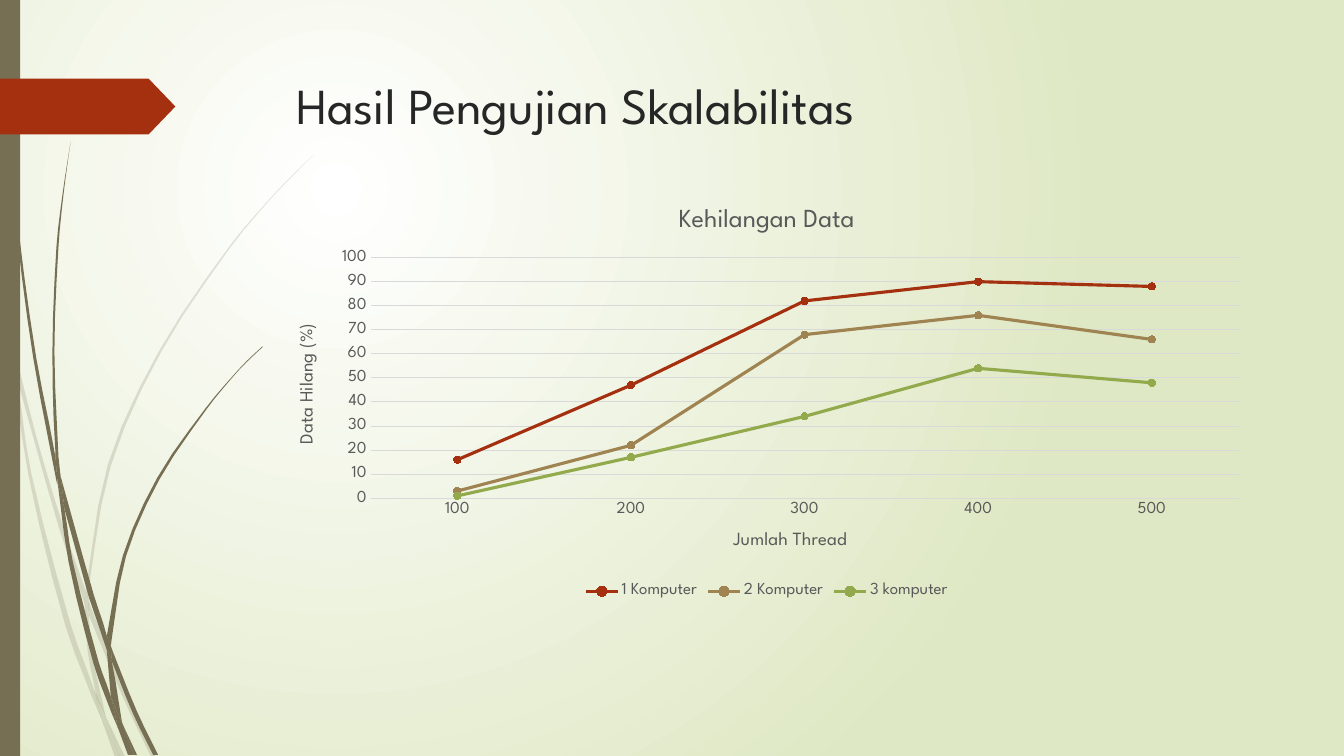
from math import hypot

from lxml import etree
from pptx import Presentation
from pptx.chart.data import CategoryChartData
from pptx.dml.color import RGBColor
from pptx.enum.chart import XL_CHART_TYPE, XL_LEGEND_POSITION, XL_MARKER_STYLE, XL_TICK_MARK
from pptx.enum.shapes import MSO_SHAPE
from pptx.enum.text import MSO_ANCHOR, PP_ALIGN
from pptx.oxml.ns import qn
from pptx.util import Cm, Pt

LINE = XL_CHART_TYPE.LINE_MARKERS
BOTTOM = XL_LEGEND_POSITION.BOTTOM
DOT = XL_MARKER_STYLE.CIRCLE
NO_TICK = XL_TICK_MARK.NONE
RECT, ARROW = MSO_SHAPE.RECTANGLE, MSO_SHAPE.PENTAGON
TOP, LEFT = MSO_ANCHOR.TOP, PP_ALIGN.LEFT

WHITE = RGBColor(0xFF, 0xFF, 0xFF)
PALE = RGBColor(0xDF, 0xE8, 0xC4)
OLIVE = RGBColor(0x76, 0x6F, 0x54)
RED = RGBColor(0xA5, 0x30, 0x10)
TAN = RGBColor(0x9F, 0x83, 0x51)
GREEN = RGBColor(0x92, 0xAA, 0x4C)
INK = RGBColor(0x26, 0x26, 0x26)
GREY = RGBColor(0x59, 0x59, 0x59)
RULE = RGBColor(0xD9, 0xD9, 0xD9)
FONT = "League Spartan"

# Blades of grass: knots of one edge downwards, then of the other edge upwards
UNIT = Cm(0.0254)
FAINT = [
    ([(0, 282), (9, 322), (11, 350)], [(10, 344), (0, 299)]),
    ([(14, 345), (36, 433), (62, 520), (85, 586)], [(84, 599), (58, 522), (17, 376)]),
    ([(88, 596), (92, 607), (127, 692), (155, 751)], [(150, 751), (123, 694), (88, 610)]),
    ([(105, 711), (124, 751)], [(119, 751)]),
    ([(11, 350), (17, 376), (31, 469), (70, 619), (93, 683), (101, 714)],
     [(92, 693), (65, 621), (28, 470), (11, 350)]),
    ([(84, 599), (88, 610), (91, 646), (105, 711)], [(96, 692), (87, 646), (84, 599)]),
    ([(312, 153), (290, 175), (268, 198), (229, 245), (160, 349), (110, 462), (88, 584),
      (88, 596)],
     [(85, 586), (107, 461), (158, 348), (228, 244), (268, 197), (289, 175), (312, 153)]),
    ([(101, 714), (119, 751)], [(114, 751)]),
    ([(85, 586), (88, 596), (88, 610)], [(88, 608), (84, 599)]),
    ([(93, 683), (105, 711), (119, 751)], [(101, 714), (99, 707)]),
]
SOLID = [
    ([(4, 0), (5, 48), (8, 109), (19, 232), (36, 355), (55, 453), (57, 481)],
     [(56, 477), (33, 355), (17, 233), (7, 110), (4, 48), (3, 0)]),
    ([(60, 472), (93, 590), (106, 631), (106, 645)], [(88, 592), (64, 505)]),
    ([(110, 641), (113, 649), (136, 706), (157, 749)], [(152, 749), (132, 708), (111, 656)]),
    ([(57, 477), (64, 505), (72, 556), (98, 657), (110, 691), (117, 722)],
     [(111, 708), (93, 659), (68, 557), (57, 477)]),
    ([(70, 141), (62, 193), (56, 245), (52, 349), (55, 449), (60, 472)],
     [(58, 453), (54, 349), (58, 245), (63, 193), (70, 141)]),
    ([(122, 719), (136, 749)], [(133, 749)]),
    ([(55, 449), (60, 472), (64, 505)], [(57, 477), (55, 453)]),
    ([(261, 344), (245, 359), (231, 374), (205, 406), (158, 476), (125, 552), (111, 633),
      (110, 641)],
     [(106, 631), (122, 551), (156, 474), (204, 405), (231, 373), (245, 358), (260, 344)]),
    ([(117, 722), (131, 749)], [(127, 749)]),
    ([(106, 645), (111, 656), (121, 716), (122, 719)], [(116, 706), (110, 691)]),
    ([(106, 631), (110, 641), (111, 656)], [(109, 651), (106, 645)]),
    ([(110, 691), (116, 706), (122, 719), (133, 749)], [(130, 749), (117, 722), (116, 717)]),
]

THREADS = ["100", "200", "300", "400", "500"]
LOSS = [
    ("1 Komputer", [16, 47, 82, 90, 88], RED),
    ("2 Komputer", [3, 22, 68, 76, 66], TAN),
    ("3 komputer", [1, 17, 34, 54, 48], GREEN),
]


def paint(shape, color):
    shape.shadow.inherit = False
    shape.fill.solid()
    shape.fill.fore_color.rgb = color
    shape.line.fill.background()


def style(font, size, color):
    font.name, font.size, font.bold = FONT, Pt(size), False
    font.color.rgb = color


def smooth(knots, steps=3):
    """Points of a curve whose slope at a knot follows its neighbours."""
    ends = [knots[0], *knots, knots[-1]]
    slopes = []
    for (x0, y0), (x1, y1) in zip(ends, ends[2:]):
        size = hypot(x1 - x0, y1 - y0) or 1
        slopes.append(((x1 - x0) / size, (y1 - y0) / size))
    points = []
    for a, b, u, v in zip(knots, knots[1:], slopes, slopes[1:]):
        span = hypot(b[0] - a[0], b[1] - a[1])
        for i in range(steps):
            t = i / steps
            points.append(tuple(
                p + (q - p) * t * t * (3 - 2 * t)
                + span * t * (1 - t) * (m * (1 - t) - n * t)
                for p, q, m, n in zip(a, b, u, v)))
    return points + [knots[-1]]


def add_grass(slide, left, top, blades, alpha):
    """A group of blades, with opacity in percent."""
    group = slide.shapes.add_group_shape()
    for down, up in blades:
        edge = [(x * 100, y * 100) for x, y in smooth(down) + smooth(up)]
        pen = group.shapes.build_freeform(*edge[0], scale=UNIT / 100)
        pen.add_line_segments(edge[1:], close=True)
        blade = pen.convert_to_shape(left, top)
        paint(blade, OLIVE)
        if alpha < 100:
            color = blade.fill._xPr.find(".//" + qn("a:srgbClr"))
            etree.SubElement(color, qn("a:alpha"), val=str(alpha * 1000))


def add_back(slide):
    """Radial gradient centred in the upper left quarter."""
    fill = slide.background.fill
    fill.gradient()
    for stop, color in zip(fill.gradient_stops, (WHITE, PALE)):
        stop.color.rgb = color
    grad = slide.background._cSld.find(".//" + qn("a:gradFill"))
    ring = etree.Element(qn("a:path"), path="circle")
    etree.SubElement(ring, qn("a:fillToRect"), l="50000", t="50000", r="100000", b="100000")
    grad.replace(grad.find(qn("a:lin")), ring)


def add_decor(slide, left, top, height):
    """Grass, side bar and red arrow along the left edge."""
    add_grass(slide, left, top, FAINT, 20)
    add_grass(slide, left, top, SOLID, 100)
    bar = slide.shapes.add_shape(RECT, left, top, Cm(0.51), height)
    paint(bar, OLIVE)
    arrow = slide.shapes.add_shape(ARROW, left, top + Cm(1.98), Cm(4.42), Cm(1.41))
    arrow.adjustments[0] = 0.48
    paint(arrow, RED)


def add_title(slide, left, top, width, height):
    title = slide.shapes.title
    title.left, title.top, title.width, title.height = left, top, width, height
    frame = title.text_frame
    frame.text = "Hasil Pengujian Skalabilitas"
    frame.vertical_anchor = TOP
    frame.paragraphs[0].alignment = LEFT
    style(frame.paragraphs[0].font, 36, INK)


def label(title, text, size):
    """Title of the chart or of an axis."""
    title.text_frame.text = text
    style(title.text_frame.paragraphs[0].font, size, GREY)


def add_loss(slide, left, top, width, height):
    """Line chart of lost data per number of threads."""
    data = CategoryChartData()
    data.categories = THREADS
    for name, values, _ in LOSS:
        data.add_series(name, values)
    chart = slide.shapes.add_chart(LINE, left, top, width, height, data).chart
    style(chart.font, 12, GREY)
    label(chart.chart_title, "Kehilangan Data", 18.6)
    chart.chart_title.include_in_layout = False

    # Axes
    cat, val = chart.category_axis, chart.value_axis
    for axis, text in ((cat, "Jumlah Thread"), (val, "Data Hilang (%)")):
        label(axis.axis_title, text, 13.3)
        style(axis.tick_labels.font, 12, GREY)
        axis.major_tick_mark = axis.minor_tick_mark = NO_TICK
    val.minimum_scale, val.maximum_scale, val.major_unit = 0, 100, 10
    val.format.line.fill.background()
    for line in (cat.format.line, val.major_gridlines.format.line):
        line.color.rgb = RULE
        line.width = Pt(0.75)

    # Legend
    chart.has_legend = True
    chart.legend.position = BOTTOM
    chart.legend.include_in_layout = False
    style(chart.legend.font, 12, GREY)

    # Series
    chart.plots[0].vary_by_categories = False
    for series, (_, _, color) in zip(chart.plots[0].series, LOSS):
        series.smooth = False
        series.format.line.color.rgb = color
        series.format.line.width = Pt(2.25)
        dot = series.marker
        dot.style, dot.size = DOT, 5
        dot.format.fill.solid()
        dot.format.fill.fore_color.rgb = color
        dot.format.line.color.rgb = color


def main():
    deck = Presentation()
    deck.slide_width, deck.slide_height = Cm(33.87), Cm(19.05)
    slide = deck.slides.add_slide(deck.slide_layouts[5])
    add_back(slide)
    add_decor(slide, 0, 0, deck.slide_height)
    add_title(slide, Cm(7.21), Cm(1.73), Cm(24.77), Cm(3.56))
    add_loss(slide, Cm(6.94), Cm(4.71), Cm(24.77), Cm(10.49))
    deck.save("out.pptx")


if __name__ == "__main__":
    main()
